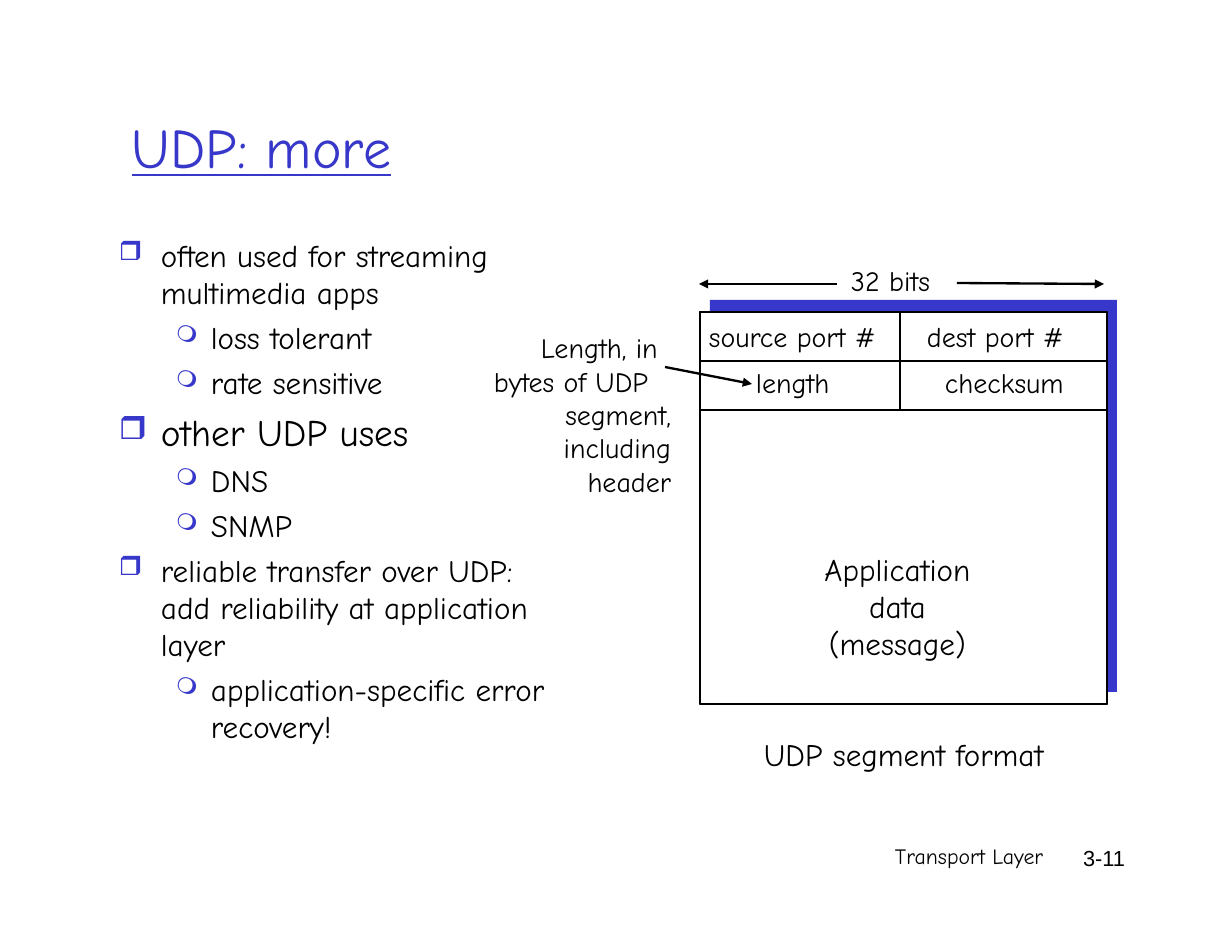
import pptx
import pptx.util
import pptx.dml.color
import pptx.enum.shapes
import pptx.enum.text
import pptx.oxml.ns
from lxml import etree

PX = 914400 / 112
COLORS = {"accent": "3737CA", "ink": "000000", "paper": "FFFFFF"}
FONT = "Comic Neue"
ALIGN = pptx.enum.text.PP_ALIGN
# level: (bullet, size percent, text indent, hanging indent)
BULLETS = {0: ("❒", 85, 43, 42), 1: ("❍", 75, 93, 35)}
BULLET_GROUPS = [
    ((118, 235, 410, 123), 1, [
        (0, 20, 1.1, "often used for streaming multimedia apps"),
        (1, 20, 4.8, "loss tolerant")]),
    ((118, 354, 315, 192), 9, [
        (1, 20, 5.7, "rate sensitive"),
        (0, 24, 5.6, "other UDP uses"),
        (1, 20, 4.8, "DNS"),
        (1, 20, 4.8, "SNMP")]),
    ((118, 550, 442, 197), 1, [
        (0, 20, 1.1, "reliable transfer over UDP: add reliability at application layer"),
        (1, 20, 4.7, "application-specific error recovery!")]),
]


def px(length):
    """Turn slide pixels into EMU."""
    return pptx.util.Emu(round(length * PX))


def rgb(name):
    """Look up a colour by its role."""
    return pptx.dml.color.RGBColor.from_string(COLORS[name])


def set_frame(frame, left=0, top=1, right=0):
    """Give a text frame wrapping, top anchoring and its insets."""
    frame.word_wrap = True
    frame.auto_size = pptx.enum.text.MSO_AUTO_SIZE.NONE
    frame.vertical_anchor = pptx.enum.text.MSO_ANCHOR.TOP
    frame.margin_left, frame.margin_top = px(left), px(top)
    frame.margin_right, frame.margin_bottom = px(right), 0


def write(paragraph, text, size, before=1, align=ALIGN.LEFT, color="ink", font=FONT):
    """Add one formatted run to a paragraph."""
    paragraph.alignment = align
    paragraph.space_before = pptx.util.Pt(before)
    run = paragraph.add_run()
    run.text = text
    run.font.size = pptx.util.Pt(size)
    run.font.name = font
    run.font.color.rgb = rgb(color)
    return run


def add_bullet(paragraph, level):
    """Give a paragraph the bullet and indents of its level."""
    char, percent, indent, hanging = BULLETS[level]
    paragraph.level = level
    properties = paragraph._p.get_or_add_pPr()
    properties.set("marL", str(px(indent)))
    properties.set("indent", str(-px(hanging)))
    qn = pptx.oxml.ns.qn
    bullet_color = etree.SubElement(properties, qn("a:buClr"))
    etree.SubElement(bullet_color, qn("a:srgbClr"), val=COLORS["accent"])
    etree.SubElement(properties, qn("a:buSzPct"), val=str(percent * 1000))
    etree.SubElement(properties, qn("a:buChar"), char=char)


def add_title(slide, text):
    """Place and format the slide title."""
    title = slide.shapes.title
    title.left, title.top, title.width, title.height = map(px, (102, 111, 1027, 77))
    set_frame(title.text_frame, left=30)
    run = write(title.text_frame.paragraphs[0], text, 36, color="accent")
    run.font.underline = True


def add_bullets(slide, box, top, items):
    """Add a text box of two-level bullets."""
    frame = slide.shapes.add_textbox(*map(px, box)).text_frame
    set_frame(frame, top=top)
    for index, (level, size, before, text) in enumerate(items):
        paragraph = frame.add_paragraph() if index else frame.paragraphs[0]
        write(paragraph, text, size, before)
        add_bullet(paragraph, level)


def add_label(slide, box, text, size, **style):
    """Add a text box with one paragraph."""
    frame = slide.shapes.add_textbox(*map(px, box)).text_frame
    set_frame(frame)
    write(frame.paragraphs[0], text, size, **style)


def add_box(slide, box, fill="paper", outlined=True):
    """Add a rectangle, outlined or plain."""
    rectangle = slide.shapes.add_shape(
        pptx.enum.shapes.MSO_SHAPE.RECTANGLE, *map(px, box))
    rectangle.shadow.inherit = False
    rectangle.fill.solid()
    rectangle.fill.fore_color.rgb = rgb(fill)
    if outlined:
        rectangle.line.color.rgb = rgb("ink")
        rectangle.line.width = pptx.util.Pt(1.5)
    else:
        rectangle.line.fill.background()
    return rectangle


def add_field(slide, box, text, left, top, size=18, before=4.4, right=0, align=ALIGN.LEFT):
    """Add a segment field holding its name."""
    frame = add_box(slide, box).text_frame
    set_frame(frame, left, top, right)
    write(frame.paragraphs[0], text, size, before, align)


def add_arrow(slide, start, end):
    """Add a straight arrow from start to end."""
    arrow = slide.shapes.add_connector(
        pptx.enum.shapes.MSO_CONNECTOR.STRAIGHT, *map(px, start + end))
    arrow.line.color.rgb = rgb("ink")
    arrow.line.width = pptx.util.Pt(1.5)
    qn = pptx.oxml.ns.qn
    etree.SubElement(arrow.line._get_or_add_ln(), qn("a:tailEnd"),
                     type="triangle", w="med", len="med")
    etree.SubElement(arrow._element.spPr, qn("a:effectLst"))


def add_segment(slide):
    """Draw the UDP segment with its header fields and payload."""
    left, top, middle, width, row = 700, 312, 900, 407, 49
    right_width = left + width - middle
    add_box(slide, (left + 10, top - 12, width, 392), "accent", outlined=False)
    add_box(slide, (left, top, width, 392))
    add_field(slide, (left, top, middle - left, row), "source port #", 9, 7)
    add_field(slide, (middle, top, right_width, row), "dest port #", 27, 7)
    add_field(slide, (left, top + row, middle - left, row), "length", 56, 5, before=3)
    add_field(slide, (middle, top + row, right_width, row), "checksum", 45, 4, before=3)
    add_field(slide, (left, top + 2 * row, width, 294), "Application data (message)",
              116, 140, size=20, before=0, right=128, align=ALIGN.CENTER)


def main():
    """Build the slide and save it."""
    deck = pptx.Presentation()
    deck.slide_width, deck.slide_height = px(1232), px(952)
    slide = deck.slides.add_slide(deck.slide_layouts[5])
    add_title(slide, "UDP: more")
    for box, top, items in BULLET_GROUPS:
        add_bullets(slide, box, top, items)
    add_segment(slide)
    add_label(slide, (851, 262, 97, 37), "32 bits", 18)
    add_arrow(slide, (837, 284), (699, 284))
    add_arrow(slide, (957, 283), (1104, 284))
    add_label(slide, (764, 734, 306, 40), "UDP segment format", 20)
    add_label(slide, (541, 329, 131, 37), "Length, in", 18)
    add_label(slide, (494, 363, 178, 37), "bytes of UDP", 18)
    add_label(slide, (551, 396, 120, 104), "segment, including header", 18, align=ALIGN.RIGHT)
    add_arrow(slide, (665, 367), (752, 384))
    add_label(slide, (895, 842, 169, 34), "Transport Layer", 14, before=2.5)
    add_label(slide, (1083, 844, 51, 28), "3-11", 14, font="Arial")
    deck.save("out.pptx")


if __name__ == "__main__":
    main()
